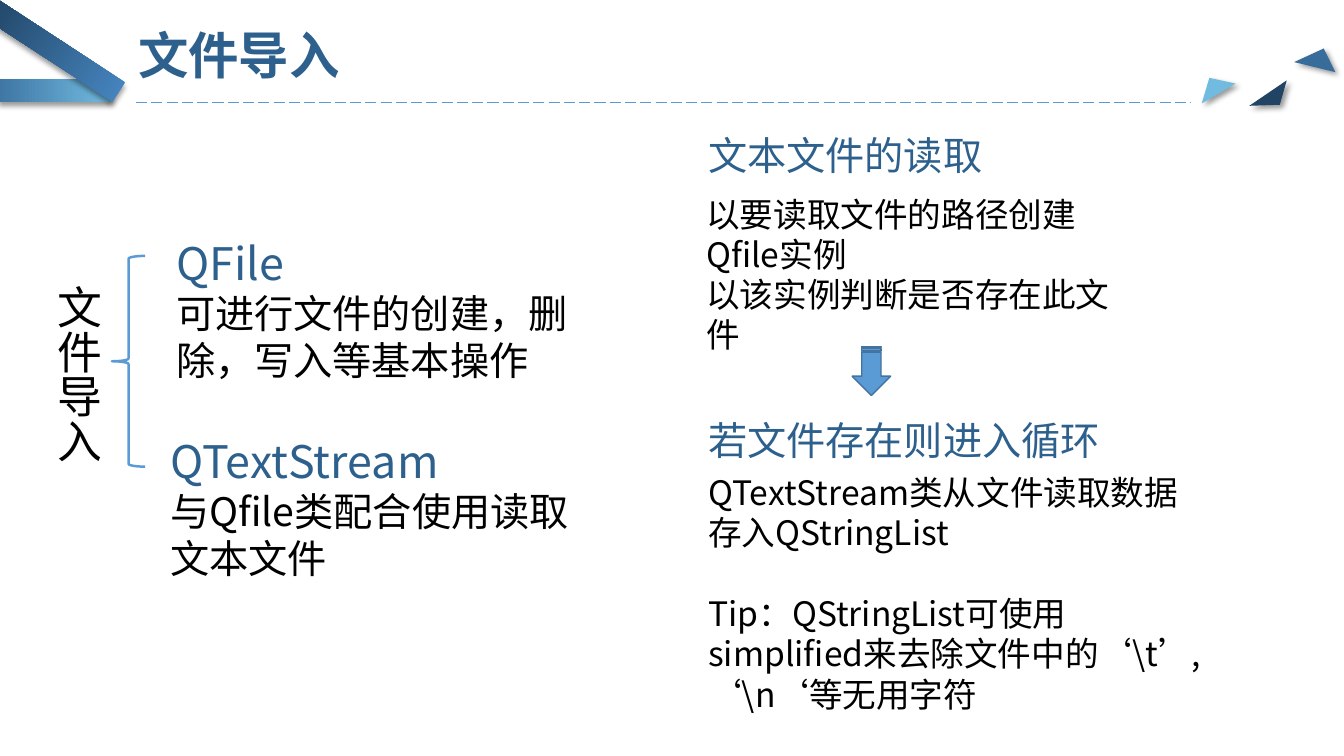
import pptx
import pptx.util
import pptx.dml.color
import pptx.enum.dml
import pptx.enum.shapes
import pptx.enum.text
import pptx.oxml
import pptx.oxml.ns
from pptx.util import Cm

SHAPES = pptx.enum.shapes.MSO_SHAPE
NAVY, SKY, DARK, PALE = "2D608C", "5B9BD5", "214464", "72BBE0"
BLACK = "000000"
BODY_FONT = "Noto Sans CJK SC"
NAMESPACE = pptx.oxml.ns.nsdecls("a")


def color(value):
    """Turn a hex string into a colour."""
    return pptx.dml.color.RGBColor.from_string(value)


class Painter:
    """Holds the style and the current page."""

    def __init__(self, page):
        self.page = page

    def cast_shadow(self, shape, angle):
        """Give a shape a soft shadow falling at an angle in degrees."""
        shape.shadow.inherit = False
        effects = shape._element.spPr.find(pptx.oxml.ns.qn("a:effectLst"))
        effects.append(pptx.oxml.parse_xml(
            f'<a:outerShdw {NAMESPACE} blurRad="{pptx.util.Pt(4)}" '
            f'dist="{pptx.util.Pt(3)}" dir="{angle * 60000}" rotWithShape="0">'
            f'<a:srgbClr val="{BLACK}"><a:alpha val="40000"/></a:srgbClr>'
            '</a:outerShdw>'))

    def shape(self, kind, place, fill=None, line=None, weight=1, turn=0):
        """Add a preset shape; place is left, top, width, height in cm."""
        shape = self.page.shapes.add_shape(kind, *map(Cm, place))
        shape.shadow.inherit = False
        shape.rotation = turn
        if fill:
            shape.fill.solid()
            shape.fill.fore_color.rgb = color(fill)
        else:
            shape.fill.background()
        if line:
            shape.line.color.rgb = color(line)
            shape.line.width = pptx.util.Pt(weight)
        else:
            shape.line.fill.background()
        return shape

    def ribbon(self, place, start, end, turn=0):
        """Add a shadowed bar shaded from its right end to its left end."""
        bar = self.shape(SHAPES.RECTANGLE, place, start, turn=turn)
        bar.fill.gradient()
        bar.fill.gradient_angle = 180
        for stop, value in zip(bar.fill.gradient_stops, (start, end)):
            stop.color.rgb = color(value)
        self.cast_shadow(bar, 90)

    def shard(self, place, fill, turn, apex):
        """Add a shadowed triangle with its apex at a share of the width."""
        triangle = self.shape(SHAPES.ISOSCELES_TRIANGLE, place, fill, turn=turn)
        triangle.adjustments[0] = apex
        self.cast_shadow(triangle, 45)

    def dashed_rule(self, left, right, height):
        """Add a horizontal dashed line."""
        rule = self.page.shapes.add_connector(
            pptx.enum.shapes.MSO_CONNECTOR.STRAIGHT,
            Cm(left), Cm(height), Cm(right), Cm(height))
        rule.line.color.rgb = color(SKY)
        rule.line.width = pptx.util.Pt(1)
        rule.line.dash_style = pptx.enum.dml.MSO_LINE.LONG_DASH
        rule._element.spPr.append(
            pptx.oxml.parse_xml(f"<a:effectLst {NAMESPACE}/>"))

    def text(self, place, paragraphs, font=BODY_FONT, bold=False):
        """Add a text box; each paragraph is text, size, colour, space before."""
        box = self.page.shapes.add_textbox(*map(Cm, place))
        frame = box.text_frame
        frame.word_wrap = True
        for index, (words, size, tint, gap) in enumerate(paragraphs):
            para = frame.paragraphs[0] if index == 0 else frame.add_paragraph()
            para.text = words
            para.space_before = pptx.util.Pt(gap)
            para.font.name = font
            para.font.size = pptx.util.Pt(size)
            para.font.bold = bold
            para.font.color.rgb = color(tint)
            para.font._element.append(pptx.oxml.parse_xml(
                f'<a:ea {NAMESPACE} typeface="{font}"/>'))
        return frame


deck = pptx.Presentation()
deck.slide_width, deck.slide_height = Cm(33.87), Cm(19.05)
painter = Painter(deck.slides.add_slide(deck.slide_layouts[6]))

# Header
painter.ribbon((-0.03, 1.98, 2.84, 0.58), PALE, "3F76A4")
painter.ribbon((-0.51, 0.99, 3.81, 0.58), "4787C2", DARK, turn=33.1)
painter.shard((31.5, 2.31, 1.14, 0.41), DARK, 145.8, 0.43)
painter.shard((32.66, 1.19, 1.07, 0.51), "376C9B", 13.8, 0.6)
painter.shard((30.1, 1.93, 0.99, 0.46), PALE, 329.5, 0.5)
painter.dashed_rule(3.43, 30, 2.59)
title = painter.text((3.23, 0.28, 12.55, 2.39),
                     [("文件导入", 36, NAVY, 0)], "Calibri", bold=True)
title.vertical_anchor = pptx.enum.text.MSO_ANCHOR.MIDDLE
title.paragraphs[0].line_spacing = 0.9

# Left: the two classes under one brace
topic = painter.text((0.89, 6.93, 1.88, 7.29), [("文件导入", 32, BLACK, 0)])
topic._txBody.bodyPr.set("vert", "eaVert")
painter.shape(SHAPES.LEFT_BRACE, (2.82, 6.45, 0.84, 5.31),
              line=SKY, weight=1.75)
for place, name, duty in (
        ((4.19, 5.82, 10.87, 4.88), "QFile",
         "可进行文件的创建，删除，写入等基本操作"),
        ((4.04, 10.8, 11.07, 4.01), "QTextStream",
         "与Qfile类配合使用读取文本文件")):
    painter.text(place, [(name, 32, NAVY, 0), (duty, 28, BLACK, 0)])

# Right: the steps of reading a text file
for top, heading in ((3.18, "文本文件的读取"), (10.36, "若文件存在则进入循环")):
    painter.text((17.6, top, 10.87, 1.45), [(heading, 28, NAVY, 0)])
painter.text((17.55, 4.75, 11.3, 5.38), [
    ("以要读取文件的路径创建Qfile实例", 24, BLACK, 0),
    ("以该实例判断是否存在此文件", 24, BLACK, 0)])
painter.shape(SHAPES.STRIPED_RIGHT_ARROW, (21.34, 8.86, 1.24, 0.97),
              SKY, "43739E", turn=90)
painter.text((17.6, 11.76, 13.06, 6.4), [
    ("QTextStream类从文件读取数据存入QStringList", 24, BLACK, 0),
    ("Tip：QStringList可使用simplified来去除文件中的‘\\t’, ‘\\n‘等无用字符",
     24, BLACK, 29)])

deck.save("out.pptx")
